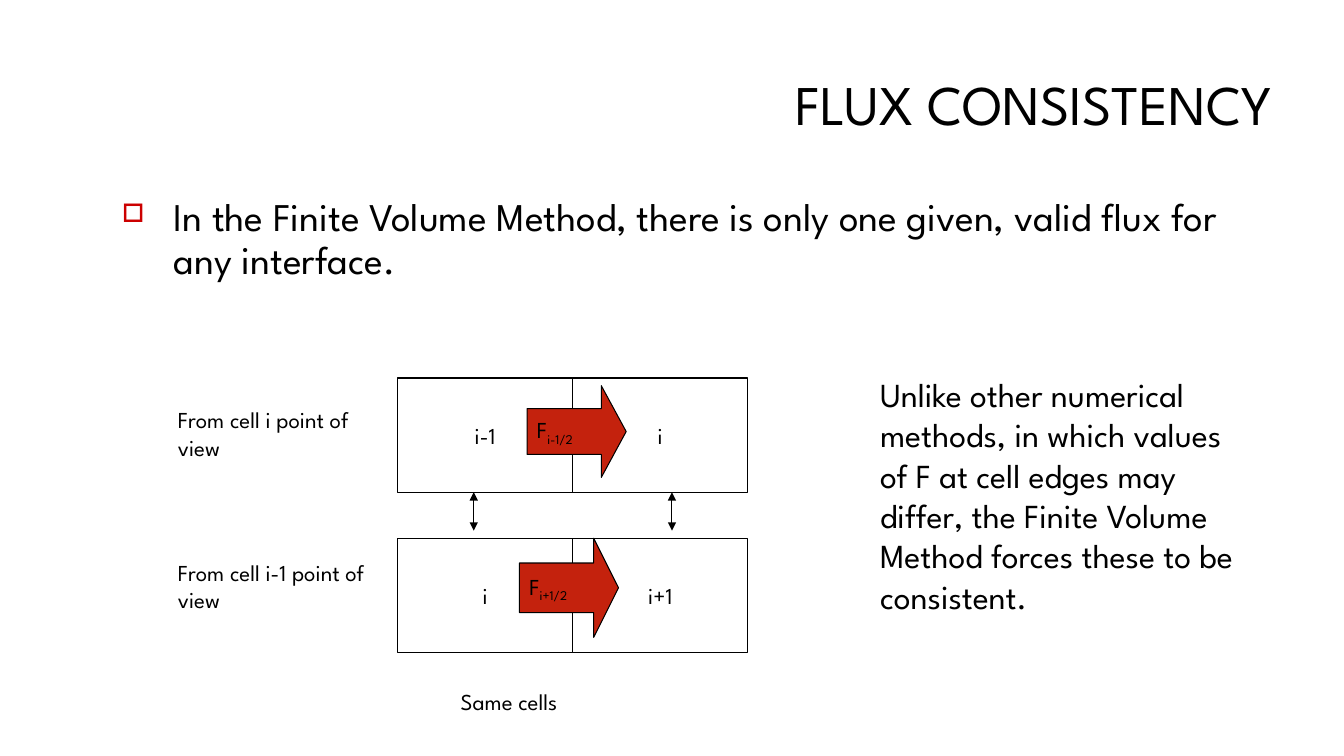
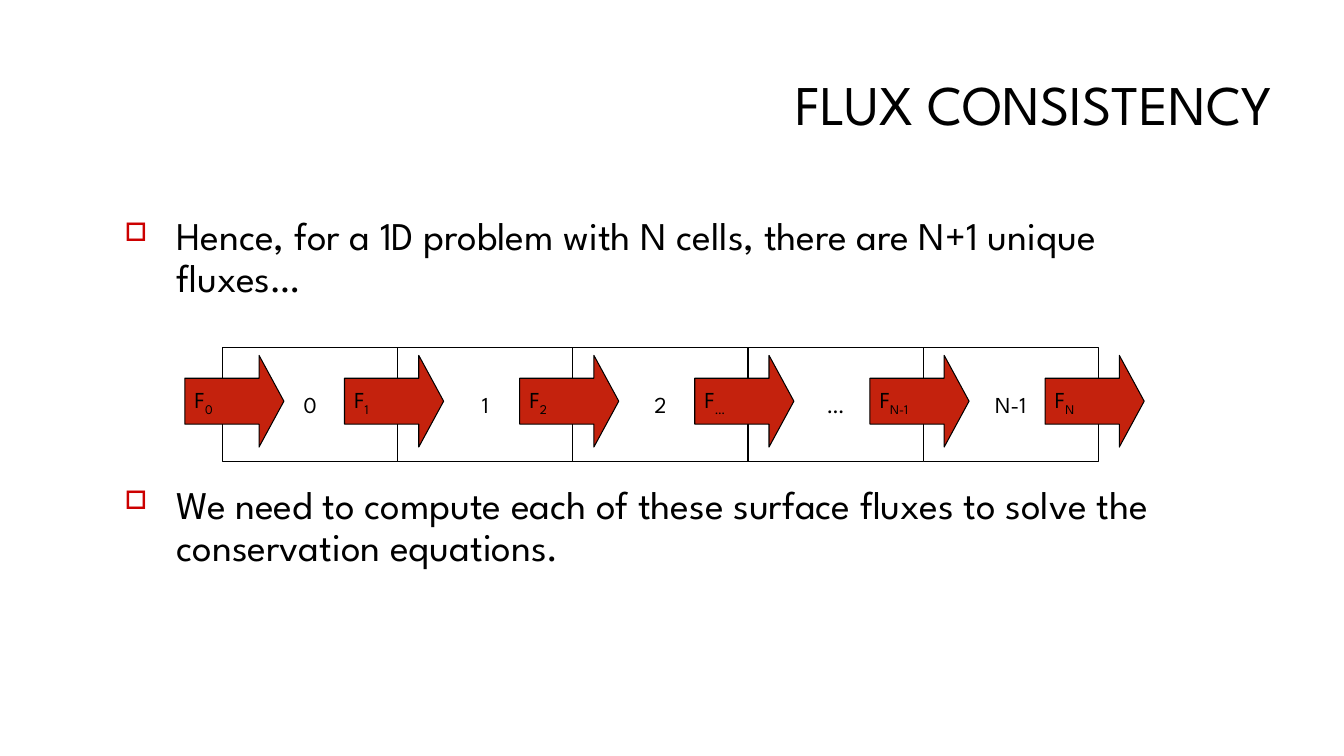
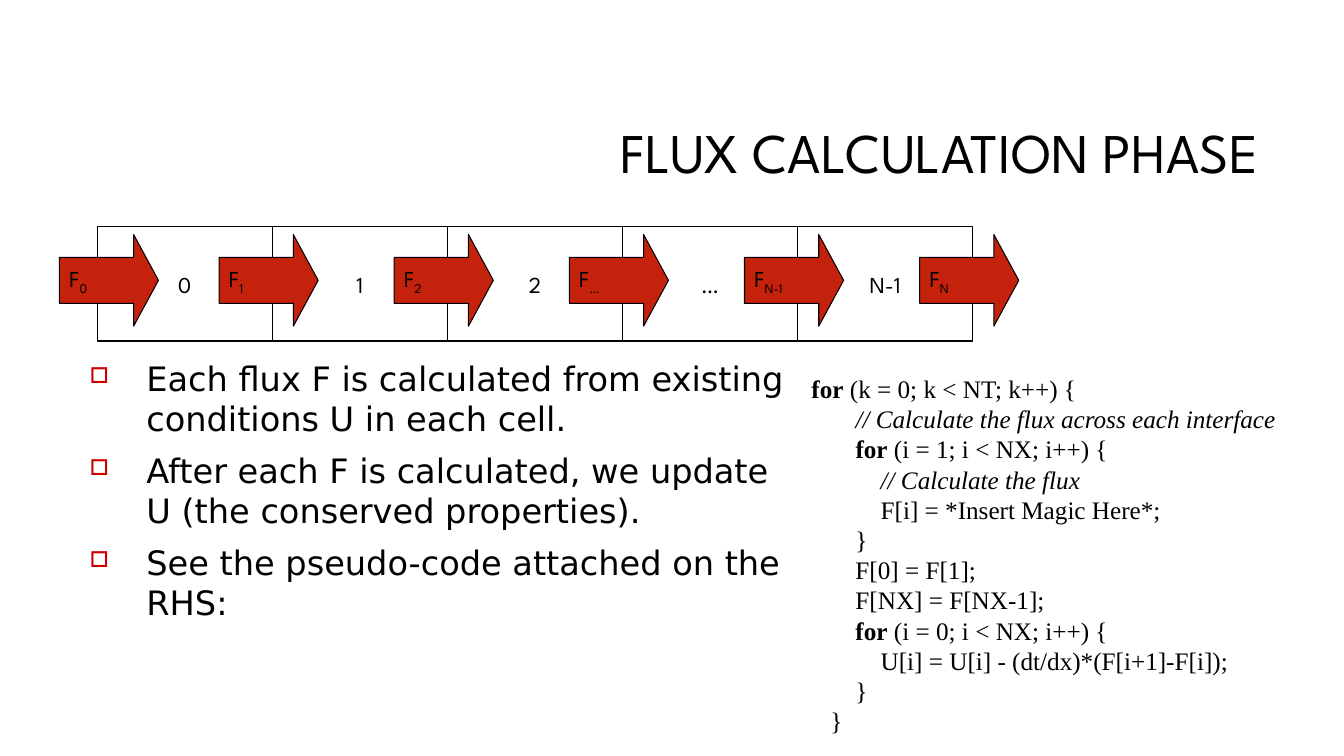
from lxml import etree
from pptx import Presentation
from pptx.dml.color import RGBColor
from pptx.enum import shapes, text
from pptx.oxml import ns
from pptx.util import Pt

BLACK = RGBColor(0x00, 0x00, 0x00)
WHITE = RGBColor(0xFF, 0xFF, 0xFF)
ARROW_RED = RGBColor(0xC4, 0x22, 0x0D)
BULLET_RED = RGBColor(0xCC, 0x00, 0x00)

MAIN_FONT = "League Spartan"
BODY_FONT = "DejaVu Sans"
CODE_FONT = "Times New Roman"
LABEL_SIZE = 16.3
OUTLINE = 0.75

CELL_WIDTH, CELL_HEIGHT = 125.1, 81.6
ARROW_WIDTH, ARROW_HEIGHT = 70.8, 65.5
ARROW_OFFSET = 38  # flux arrow starts this far left of its interface
FIRST_ARROW_OFFSET = 27
ARROW_DROP = 5.5

CELL_NAMES = ["0", "1", "2", "…", "N-1"]
FLUX_NAMES = ["0", "1", "2", "…", "N-1", "N"]

PLAIN, BOLD, ITALIC = "plain", "bold", "italic"
CODE_LINES = [
    [(" for", BOLD), (" (k = 0; k < NT; k++) {", PLAIN)],
    [("        ", PLAIN), ("// Calculate the flux across each interface", ITALIC)],
    [("        ", PLAIN), ("for", BOLD), (" (i = 1; i < NX; i++) {", PLAIN)],
    [("            ", PLAIN), ("// Calculate the flux", ITALIC)],
    [("            F[i] = *Insert Magic Here*;", PLAIN)],
    [("        }", PLAIN)],
    [("        F[0] = F[1];", PLAIN)],
    [("        F[NX] = F[NX-1];", PLAIN)],
    [("        for", BOLD), (" (i = 0; i < NX; i++) {", PLAIN)],
    [("            U[i] = U[i] - (dt/dx)*(F[i+1]-F[i]);", PLAIN)],
    [("        }", PLAIN)],
    [("    }", PLAIN)],
]


# Text
def add_run(paragraph, content, size, font=MAIN_FONT, style=PLAIN):
    run = paragraph.add_run()
    run.text = content
    run.font.size = Pt(size)
    run.font.name = font
    run.font.color.rgb = BLACK
    run.font.bold = style == BOLD
    run.font.italic = style == ITALIC
    return run


def add_box(slide, left, top, width, height):
    box = slide.shapes.add_textbox(Pt(left), Pt(top), Pt(width), Pt(height))
    box.text_frame.word_wrap = True
    return box.text_frame


def add_note(slide, content, left, top, width, height, size=LABEL_SIZE):
    frame = add_box(slide, left, top, width, height)
    add_run(frame.paragraphs[0], content, size)


def add_title(slide, content, left=286, top=29, width=630, height=96):
    frame = add_box(slide, left, top, width, height)
    frame.vertical_anchor = text.MSO_ANCHOR.MIDDLE
    paragraph = frame.paragraphs[0]
    paragraph.alignment = text.PP_ALIGN.RIGHT
    paragraph.line_spacing = 0.9
    add_run(paragraph, content, 40)


def set_bullet(paragraph, indent):
    properties = paragraph._p.get_or_add_pPr()
    properties.set("marL", str(Pt(indent)))
    properties.set("indent", str(-Pt(indent)))
    color = etree.SubElement(properties, ns.qn("a:buClr"))
    etree.SubElement(color, ns.qn("a:srgbClr")).set("val", str(BULLET_RED))
    etree.SubElement(properties, ns.qn("a:buSzPct")).set("val", "65000")
    etree.SubElement(properties, ns.qn("a:buChar")).set("char", "□")


def add_bullets(slide, items, left, top, width, height, gap=0,
                size=28, font=MAIN_FONT, indent=37, spacing=0.9):
    frame = add_box(slide, left, top, width, height)
    for number, item in enumerate(items):
        paragraph = frame.add_paragraph() if number else frame.paragraphs[0]
        set_bullet(paragraph, indent)
        paragraph.line_spacing = spacing
        if number:
            paragraph.space_before = Pt(gap)
        add_run(paragraph, item, size, font)


def add_code(slide, lines, left, top, width, height):
    frame = add_box(slide, left, top, width, height)
    for number, line in enumerate(lines):
        paragraph = frame.add_paragraph() if number else frame.paragraphs[0]
        paragraph._p.get_or_add_pPr().set("marL", str(Pt(72)))
        paragraph.line_spacing = Pt(21.6)
        for content, style in line:
            add_run(paragraph, content, 18, CODE_FONT, style)


# Diagram parts
def add_block(slide, kind, left, top, width, height, fill, alignment):
    shape = slide.shapes.add_shape(kind, Pt(left), Pt(top), Pt(width), Pt(height))
    shape.shadow.inherit = False
    shape.fill.solid()
    shape.fill.fore_color.rgb = fill
    shape.line.color.rgb = BLACK
    shape.line.width = Pt(OUTLINE)
    shape.text_frame.vertical_anchor = text.MSO_ANCHOR.MIDDLE
    shape.text_frame.paragraphs[0].alignment = alignment
    return shape


def add_cells(slide, names, left, top):
    for column, name in enumerate(names):
        cell = add_block(slide, shapes.MSO_SHAPE.RECTANGLE,
                         left + column * CELL_WIDTH, top, CELL_WIDTH, CELL_HEIGHT,
                         WHITE, text.PP_ALIGN.CENTER)
        add_run(cell.text_frame.paragraphs[0], name, LABEL_SIZE)


def add_flux(slide, index, left, top, height=ARROW_HEIGHT, head=0.271):
    arrow = add_block(slide, shapes.MSO_SHAPE.RIGHT_ARROW, left, top,
                      ARROW_WIDTH, height, ARROW_RED, text.PP_ALIGN.LEFT)
    arrow.adjustments[0] = 0.5
    arrow.adjustments[1] = head
    paragraph = arrow.text_frame.paragraphs[0]
    add_run(paragraph, "F", LABEL_SIZE)
    subscript = add_run(paragraph, index, LABEL_SIZE)
    subscript._r.get_or_add_rPr().set("baseline", "-25000")


def add_flux_row(slide, left, top):
    add_cells(slide, CELL_NAMES, left, top)
    for interface, name in enumerate(FLUX_NAMES):
        offset = ARROW_OFFSET if interface else FIRST_ARROW_OFFSET
        add_flux(slide, name, left + interface * CELL_WIDTH - offset, top + ARROW_DROP)


def add_double_arrow(slide, x, top, bottom):
    connector = slide.shapes.add_connector(
        shapes.MSO_CONNECTOR.STRAIGHT, Pt(x), Pt(top), Pt(x), Pt(bottom))
    connector.line.color.rgb = BLACK
    connector.line.width = Pt(OUTLINE)
    line = connector.line._get_or_add_ln()
    for end in ("a:headEnd", "a:tailEnd"):
        etree.SubElement(line, ns.qn(end)).set("type", "triangle")
    etree.SubElement(connector._element.spPr, ns.qn("a:effectLst"))


# Slides
def build_interface_slide(slide):
    add_title(slide, "FLUX CONSISTENCY")
    add_bullets(slide, ["In the Finite Volume Method, there is only one given, "
                        "valid flux for any interface."], 80, 138, 836, 100)
    upper, lower, left = 270, 384.5, 284
    add_cells(slide, ["i-1", "i"], left, upper)
    add_cells(slide, ["i", "i+1"], left, lower)
    add_flux(slide, "i-1/2", 376.5, upper + ARROW_DROP)
    add_flux(slide, "i+1/2", 371, lower, ARROW_WIDTH, 0.25)
    for x in (338.4, 480):
        add_double_arrow(slide, x, upper + CELL_HEIGHT, 379)
    add_note(slide, "From cell i point of view", 120, 286.5, 153, 47)
    add_note(slide, "From cell i-1 point of view", 120, 395.5, 153, 47)
    add_note(slide, "Same cells", 322, 487.5, 174, 27)
    add_note(slide, "Unlike other numerical methods, in which values of F at cell "
             "edges may differ, the Finite Volume Method forces these to be "
             "consistent.", 621.5, 263.5, 278, 211, 24)


def build_unique_flux_slide(slide):
    add_bullets(slide, [
        "Hence, for a 1D problem with N cells, there are N+1 unique fluxes…",
        "We need to compute each of these surface fluxes to solve the "
        "conservation equations.",
    ], 82, 151, 763, 336, gap=131.5)
    add_flux_row(slide, 159, 248.3)
    add_title(slide, "FLUX CONSISTENCY")


def build_calculation_slide(slide):
    add_title(slide, "FLUX CALCULATION PHASE", 228, 60.5, 678, 101.5)
    add_bullets(slide, [
        "Each flux F is calculated from existing conditions U in each cell.",
        "After each F is calculated, we update U (the conserved properties).",
        "See the pseudo-code attached on the RHS:",
    ], 57, 252, 513, 220, gap=8.2, size=24, font=BODY_FONT, indent=40.5,
        spacing=Pt(28.8))
    add_flux_row(slide, 69.4, 162)
    add_code(slide, CODE_LINES, 496, 263, 464, 269)


def main():
    presentation = Presentation()
    presentation.slide_width = Pt(960)
    presentation.slide_height = Pt(540)
    for build in (build_interface_slide, build_unique_flux_slide,
                  build_calculation_slide):
        build(presentation.slides.add_slide(presentation.slide_layouts[6]))
    presentation.save("out.pptx")


if __name__ == "__main__":
    main()
